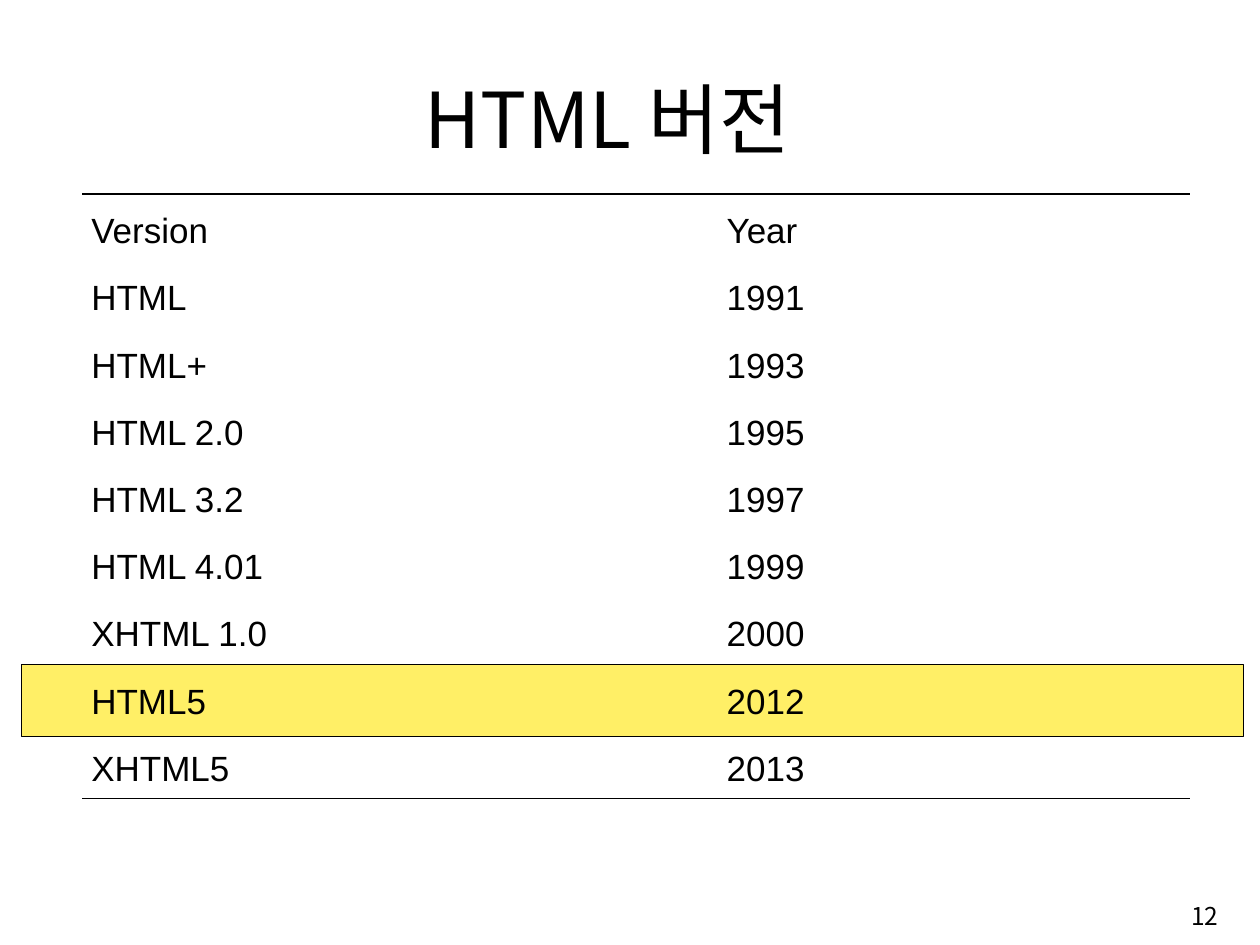
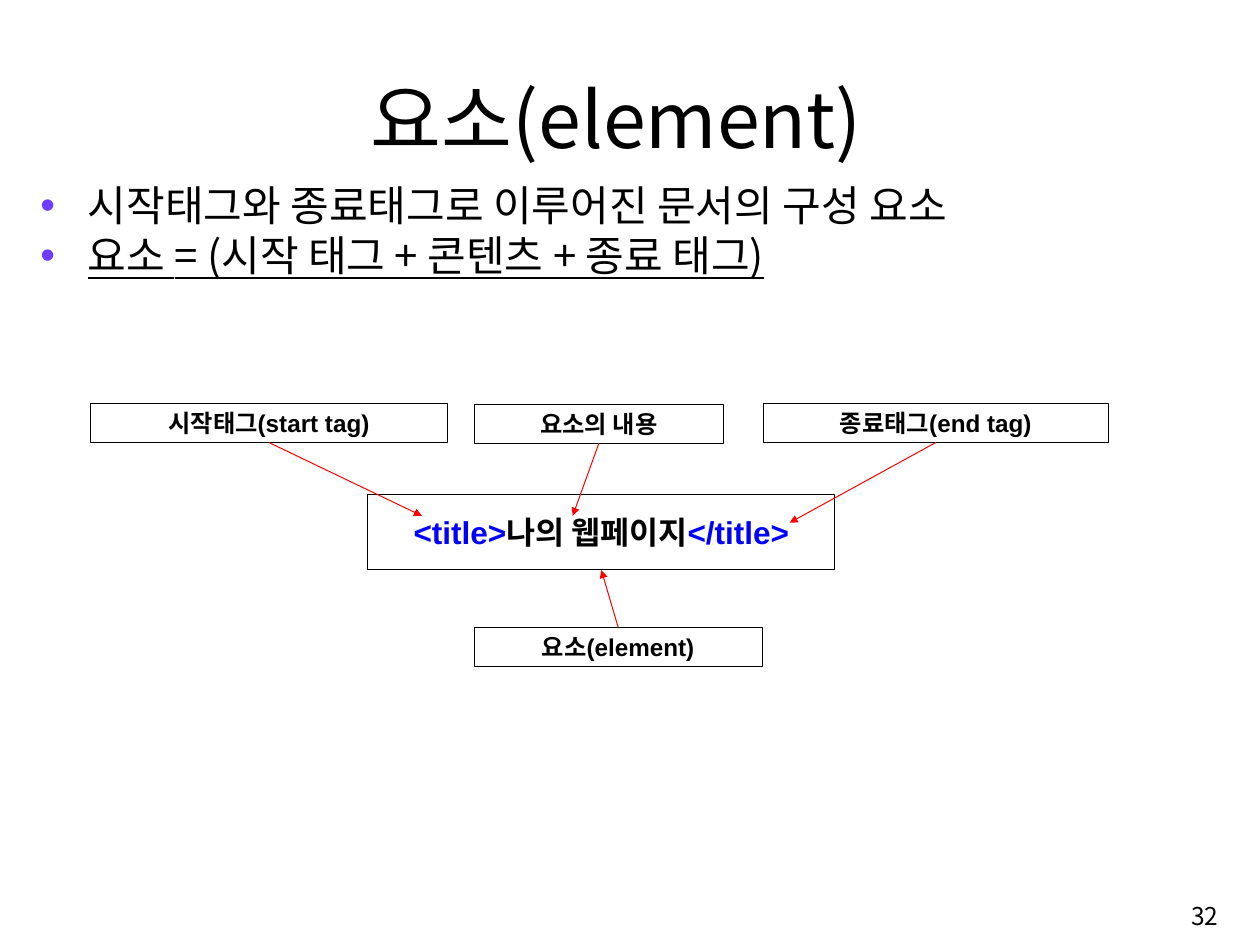
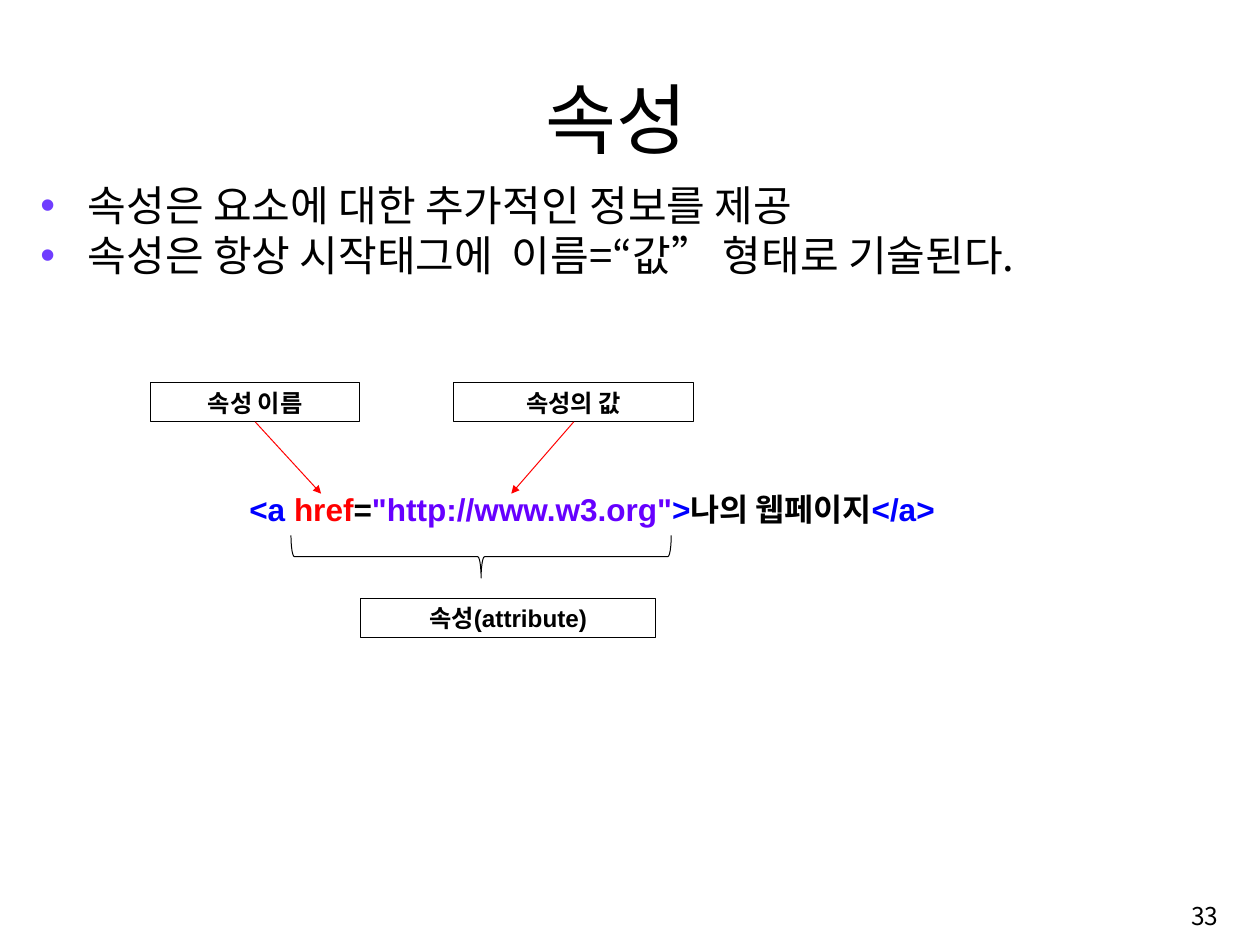
from dataclasses import dataclass

from lxml import etree
from pptx import Presentation
from pptx.dml.color import RGBColor
from pptx.enum import dml, shapes, text
from pptx.oxml import ns
from pptx.util import Cm, Pt

BLACK, BLUE, RED, PURPLE = "000000", "0000FF", "FF0000", "6600FF"
BULLET, HIGHLIGHT = "703DFF", "FFEF66"
SANS, HANGUL = "Arial", "Noto Sans CJK KR"
CENTER, MIDDLE = text.PP_ALIGN.CENTER, text.MSO_ANCHOR.MIDDLE
LABEL_H = 1.02


@dataclass(frozen=True)
class Box:
    """Left, top, width and height in centimetres."""
    x: float
    y: float
    w: float
    h: float

    def lengths(self) -> tuple:
        return Cm(self.x), Cm(self.y), Cm(self.w), Cm(self.h)


@dataclass(frozen=True)
class Style:
    size: float
    font: str = HANGUL
    bold: bool = False


@dataclass(frozen=True)
class Label:
    """A framed caption whose arrow, if any, starts at side 0 (top) or 2 (bottom)."""
    words: str
    x: float
    y: float
    w: float
    tip: tuple[float, float] | None = None
    side: int = 2


TITLE = Style(57.2)
BODY = Style(31.2)
NUMBER = Style(18.2)
CELL = Style(26, SANS)
CODE = Style(23.4, SANS, True)
CAPTION = Style(18, SANS, True)

TITLE_BOX = Box(2.67, 1.55, 26.95, 2.74)
BODY_BOX = Box(0.81, 4.8, 31.29, 17.93)
NUMBER_BOX = Box(25.35, 23.24, 6.81, 1.5)

VERSIONS = [
    ("Version", "Year"), ("HTML", "1991"), ("HTML+", "1993"),
    ("HTML 2.0", "1995"), ("HTML 3.2", "1997"), ("HTML 4.01", "1999"),
    ("XHTML 1.0", "2000"), ("HTML5", "2012"), ("XHTML5", "2013"),
]


def rgb(color: str) -> RGBColor:
    return RGBColor.from_string(color)


def add_run(p, words: str, style: Style, color: str = BLACK, underline: bool = False) -> None:
    r = p.add_run()
    r.text = words
    f = r.font
    f.size, f.bold, f.name = Pt(style.size), style.bold, style.font
    f.color.rgb = rgb(color)
    if underline:
        f.underline = True
    etree.SubElement(r._r.get_or_add_rPr(), ns.qn("a:ea"), typeface=HANGUL)


def add_slide(prs, title: str, number: int):
    s = prs.slides.add_slide(prs.slide_layouts[5])
    sp = s.shapes.title
    sp.left, sp.top, sp.width, sp.height = TITLE_BOX.lengths()
    tf = sp.text_frame
    tf.auto_size = text.MSO_AUTO_SIZE.NONE
    tf.vertical_anchor = text.MSO_ANCHOR.BOTTOM
    tf.margin_bottom = 0
    p = tf.paragraphs[0]
    p.alignment = CENTER
    add_run(p, title, TITLE)

    tf = add_text_frame(s, NUMBER_BOX)
    tf.vertical_anchor = MIDDLE
    p = tf.paragraphs[0]
    p.alignment = text.PP_ALIGN.RIGHT
    add_run(p, str(number), NUMBER)
    return s


def add_text_frame(s, box: Box):
    tf = s.shapes.add_textbox(*box.lengths()).text_frame
    tf.word_wrap = True
    return tf


def add_bullets(s, lines: list[str], underlined: int | None = None) -> None:
    tf = add_text_frame(s, BODY_BOX)
    for i, line in enumerate(lines):
        p = tf.paragraphs[0] if i == 0 else tf.add_paragraph()
        p.space_before = Pt(BODY.size * 0.2)
        p.line_spacing = 0.83
        pPr = p._p.get_or_add_pPr()
        pPr.set("marL", str(Cm(1.24)))
        pPr.set("indent", str(-Cm(1.24)))
        color = etree.SubElement(pPr, ns.qn("a:buClr"))
        etree.SubElement(color, ns.qn("a:srgbClr"), val=BULLET)
        etree.SubElement(pPr, ns.qn("a:buFont"), typeface=SANS)
        etree.SubElement(pPr, ns.qn("a:buChar"), char="•")
        add_run(p, line, BODY, underline=i == underlined)


def add_outlined(s, kind, box: Box, fill: str | None = None):
    sp = s.shapes.add_shape(kind, *box.lengths())
    sp.shadow.inherit = False
    if fill:
        sp.fill.solid()
        sp.fill.fore_color.rgb = rgb(fill)
    else:
        sp.fill.background()
    sp.line.color.rgb = rgb(BLACK)
    sp.line.width = Pt(0.75)
    return sp


def write_code(tf, parts: list[tuple[str, str]], align) -> None:
    """Writes one line of markup from (words, colour) parts."""
    tf.margin_left = tf.margin_right = Cm(0.33)
    tf.margin_top = tf.margin_bottom = Cm(0.15)
    tf.vertical_anchor = MIDDLE
    p = tf.paragraphs[0]
    p.alignment = align
    p.space_before = Pt(CODE.size * 0.2)
    for words, color in parts:
        add_run(p, words, CODE, color)


def add_arrow(s, start, side: int, tip: tuple[float, float]):
    x, y = Cm(tip[0]), Cm(tip[1])
    c = s.shapes.add_connector(shapes.MSO_CONNECTOR.STRAIGHT, x, y, x, y)
    c.begin_connect(start, side)
    c.line.color.rgb = rgb(RED)
    c.line.width = Pt(0.75)
    etree.SubElement(c.line._get_or_add_ln(), ns.qn("a:tailEnd"), type="triangle")
    etree.SubElement(c._element.spPr, ns.qn("a:effectLst"))
    return c


def add_labels(s, labels: list[Label]) -> list:
    """Draws the captions with their arrows and returns the arrows."""
    arrows = []
    for label in labels:
        box = Box(label.x, label.y, label.w, LABEL_H)
        sp = add_outlined(s, shapes.MSO_SHAPE.RECTANGLE, box)
        tf = sp.text_frame
        tf.vertical_anchor = MIDDLE
        p = tf.paragraphs[0]
        p.alignment = CENTER
        add_run(p, label.words, CAPTION)
        if label.tip:
            arrows.append(add_arrow(s, sp, label.side, label.tip))
    return arrows


def set_borders(cell, visible: set[str]) -> None:
    tcPr = cell._tc.get_or_add_tcPr()
    for i, edge in enumerate("LRTB"):
        ln = etree.Element(ns.qn(f"a:ln{edge}"), w=str(Pt(1)))
        if edge in visible:
            fill = etree.SubElement(ln, ns.qn("a:solidFill"))
            etree.SubElement(fill, ns.qn("a:srgbClr"), val=BLACK)
        else:
            etree.SubElement(ln, ns.qn("a:noFill"))
        tcPr.insert(i, ln)


def add_version_table(s) -> None:
    widths, row_h = (16.64, 12.37), 1.76
    box = Box(2.16, 5.08, sum(widths), row_h * len(VERSIONS))
    tbl = s.shapes.add_table(len(VERSIONS), len(widths), *box.lengths()).table
    tbl.first_row = tbl.horz_banding = False
    for col, width in zip(tbl.columns, widths):
        col.width = Cm(width)
    edges = {0: {"T"}, len(VERSIONS) - 1: {"B"}}
    for i, row in enumerate(VERSIONS):
        tbl.rows[i].height = Cm(row_h)
        for j, words in enumerate(row):
            cell = tbl.cell(i, j)
            cell.fill.background()
            cell.vertical_anchor = MIDDLE
            cell.margin_left = cell.margin_right = Cm(0.23)
            cell.margin_top = cell.margin_bottom = Cm(0.08)
            set_borders(cell, edges.get(i, set()))
            p = cell.text_frame.paragraphs[0]
            p.alignment = text.PP_ALIGN.JUSTIFY
            p.line_spacing = 1.2
            add_run(p, words, CELL)


def build_versions(prs) -> None:
    s = add_slide(prs, "HTML 버전 ", 12)
    add_outlined(s, shapes.MSO_SHAPE.RECTANGLE, Box(0.56, 17.4, 32, 1.88), HIGHLIGHT)
    add_version_table(s)


def build_element(prs) -> None:
    s = add_slide(prs, "요소(element)", 32)
    add_bullets(s, ["시작태그와 종료태그로 이루어진 문서의 구성 요소",
                    "요소 = (시작 태그 + 콘텐츠 + 종료 태그)"], underlined=1)
    markup = add_outlined(s, shapes.MSO_SHAPE.RECTANGLE, Box(9.63, 12.95, 12.24, 1.98))
    write_code(markup.text_frame, [("<title>", BLUE), ("나의 웹페이지", BLACK),
                                   ("</title>", BLUE)], CENTER)
    arrows = add_labels(s, [
        Label("시작태그(start tag)", 2.36, 10.57, 9.37, (11.05, 13.51)),
        Label("종료태그(end tag)", 19.99, 10.57, 9.04, (20.68, 13.69)),
        Label("요소의 내용", 12.42, 10.59, 6.53, (15, 13.51)),
        Label("요소(element)", 12.42, 16.43, 7.54, (15.75, 14.93), side=0),
    ])
    arrows[-1].end_connect(markup, 2)


def build_attribute(prs) -> None:
    s = add_slide(prs, "속성", 33)
    add_bullets(s, ["속성은 요소에 대한 추가적인 정보를 제공",
                    "속성은 항상 시작태그에  이름=“값” 형태로 기술된다."])
    tf = add_text_frame(s, Box(6.2, 12.34, 19.46, 1.98))
    write_code(tf, [("<a ", BLUE), ("href", RED), ("=", BLACK),
                    ('"http://www.w3.org"', PURPLE), (">", BLUE),
                    ("나의 웹페이지", BLACK), ("</a>", BLUE)], text.PP_ALIGN.LEFT)
    add_labels(s, [
        Label("속성 이름", 3.94, 10.03, 5.49, (8.41, 12.93)),
        Label("속성의 값", 11.89, 10.03, 6.27, (13.39, 12.93)),
        Label("속성(attribute)", 9.45, 15.67, 7.72),
    ])
    brace = add_outlined(s, shapes.MSO_SHAPE.RIGHT_BRACE, Box(12.04, 9.6, 1.12, 9.96))
    brace.rotation = 90
    brace.adjustments[0] = 0.08


def main() -> None:
    prs = Presentation()
    prs.slide_width, prs.slide_height = Cm(33), Cm(24.75)
    build_versions(prs)
    build_element(prs)
    build_attribute(prs)
    prs.save("out.pptx")


if __name__ == "__main__":
    main()
